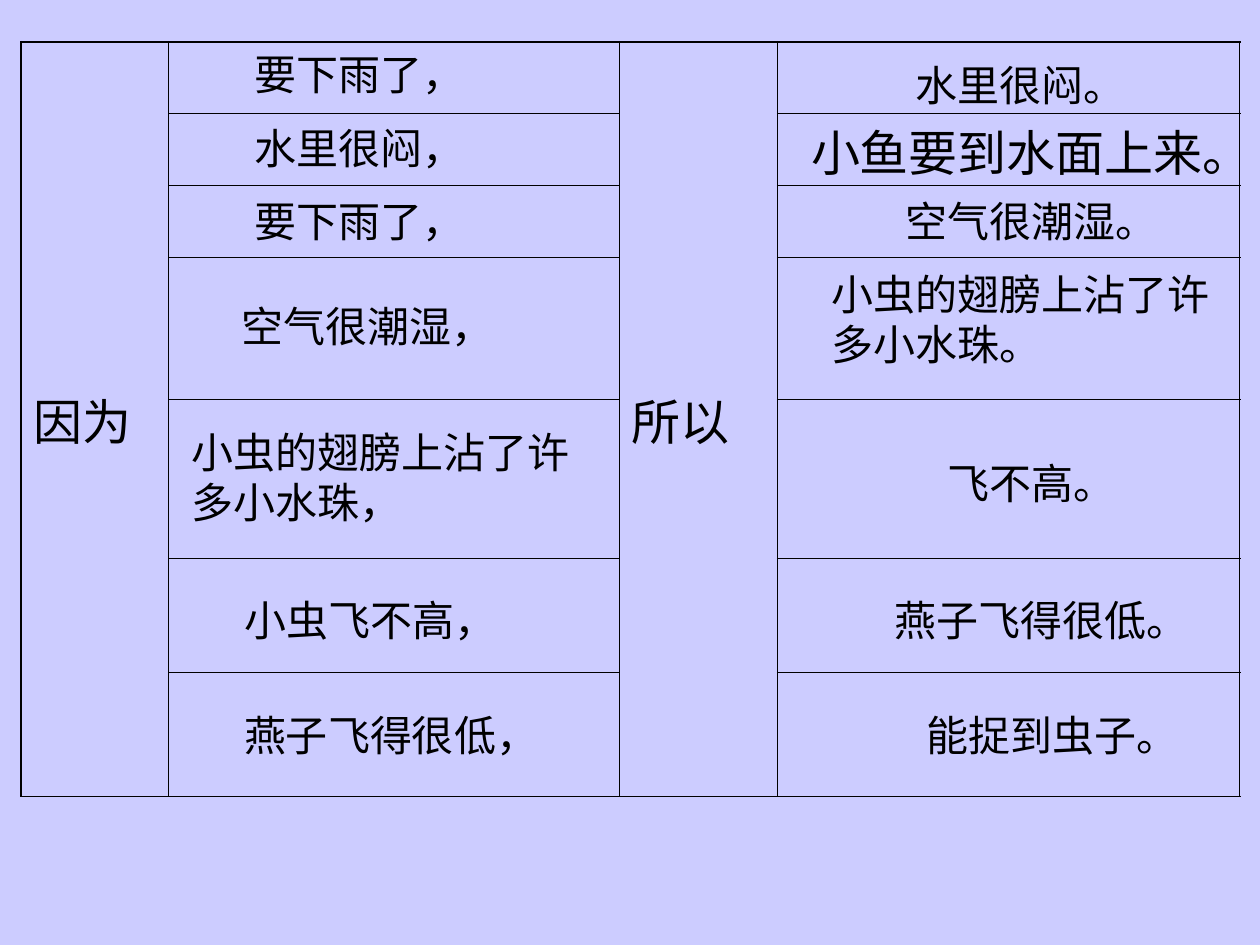
import pptx
import pptx.dml.color
import pptx.enum.text
import pptx.oxml
import pptx.oxml.ns
import pptx.util
from lxml import etree
from pptx.util import Cm, Pt

COLORS = {"page": "CCCCFF", "ink": "000000"}
FONT = "Times New Roman"
COLUMNS = [2.97, 9.09, 3.18, 9.32]
ROWS = [1.45, 1.45, 1.45, 2.87, 3.2, 2.29, 2.51]
CONJUNCTIONS = {0: "因为", 2: "所以"}
THIN, THICK = 0.45, 1.08
SIZE, LARGE = 24, 28
PADDING = {"margin_left": Cm(0.25), "margin_right": Cm(0.25),
           "margin_top": Cm(0.13), "margin_bottom": Cm(0.13)}

CLAUSES = [
    (4.88, 0.84, SIZE, ["要下雨了，"]),
    (4.88, 2.34, SIZE, ["水里很闷，"]),
    (16.1, 2.34, LARGE, ["小鱼要到水面上来。"]),
    (18.21, 1.07, SIZE, ["水里很闷。"]),
    (4.88, 3.81, SIZE, ["要下雨了，"]),
    (18.01, 3.81, SIZE, ["空气很潮湿。"]),
    (4.62, 5.92, SIZE, ["空气很潮湿，"]),
    (16.51, 5.28, SIZE, ["小虫的翅膀上沾了许", "多小水珠。"]),
    (3.61, 8.46, SIZE, ["小虫的翅膀上沾了许", "多小水珠，"]),
    (18.85, 9.09, SIZE, ["飞不高。"]),
    (4.67, 11.86, SIZE, ["小虫飞不高，"]),
    (17.78, 11.86, SIZE, ["燕子飞得很低。"]),
    (4.67, 14.17, SIZE, ["燕子飞得很低，"]),
    (18.42, 14.17, SIZE, ["能捉到虫子。"]),
]


def apply_format(target, values):
    for name, value in values.items():
        setattr(target, name, value)


def write_line(para, text, size):
    span = para.add_run()
    span.text = text
    apply_format(span.font, {"name": FONT, "size": Pt(size)})
    span.font.color.rgb = pptx.dml.color.RGBColor.from_string(COLORS["ink"])


def set_borders(cell, widths):
    properties = cell._tc.get_or_add_tcPr()
    for position, (side, width) in enumerate(widths.items()):
        line = etree.Element(pptx.oxml.ns.qn(f"a:ln{side}"), w=str(Pt(width)))
        fill = etree.SubElement(line, pptx.oxml.ns.qn("a:solidFill"))
        etree.SubElement(fill, pptx.oxml.ns.qn("a:srgbClr"), val=COLORS["ink"])
        properties.insert(position, line)


def add_grid(page):
    frame = page.shapes.add_table(len(ROWS), len(COLUMNS), Cm(0.43), Cm(0.84),
                                  Cm(sum(COLUMNS)), Cm(sum(ROWS)))
    table = frame.table
    apply_format(table, {"first_row": False, "horz_banding": False})
    for column, width in zip(table.columns, COLUMNS):
        column.width = Cm(width)
    for row, height in zip(table.rows, ROWS):
        row.height = Cm(height)
    last_row, last_column = len(ROWS) - 1, len(COLUMNS) - 1
    for r in range(len(ROWS)):
        for c in range(len(COLUMNS)):
            cell = table.cell(r, c)
            cell.fill.background()
            joined = c in CONJUNCTIONS
            set_borders(cell, {
                "L": THICK if c == 0 else THIN,
                "R": THICK if c == last_column else THIN,
                "T": THICK if r == 0 or joined else THIN,
                "B": THICK if r == last_row or joined else THIN,
            })
    for c, word in CONJUNCTIONS.items():
        cell = table.cell(0, c)
        cell.merge(table.cell(last_row, c))
        apply_format(cell, PADDING)
        cell.vertical_anchor = pptx.enum.text.MSO_ANCHOR.MIDDLE
        write_line(cell.text_frame.paragraphs[0], word, LARGE)


def add_clause(page, left, top, size, lines):
    width = Pt(size * max(map(len, lines))) + Cm(0.5)
    height = Pt(size * 1.2 * len(lines)) + Cm(0.26)
    box = page.shapes.add_textbox(Cm(left), Cm(top), width, height)
    frame = box.text_frame
    apply_format(frame, PADDING | {
        "word_wrap": False,
        "auto_size": pptx.enum.text.MSO_AUTO_SIZE.SHAPE_TO_FIT_TEXT,
    })
    for index, text in enumerate(lines):
        para = frame.add_paragraph() if index else frame.paragraphs[0]
        write_line(para, text, size)


def main():
    deck = pptx.Presentation()
    apply_format(deck, {"slide_width": Cm(25.4), "slide_height": Cm(19.05)})
    page = deck.slides.add_slide(deck.slide_layouts[6])
    fill = page.background.fill
    fill.solid()
    fill.fore_color.rgb = pptx.dml.color.RGBColor.from_string(COLORS["page"])
    add_grid(page)
    for clause in CLAUSES:
        add_clause(page, *clause)
    deck.save("out.pptx")


if __name__ == "__main__":
    main()
